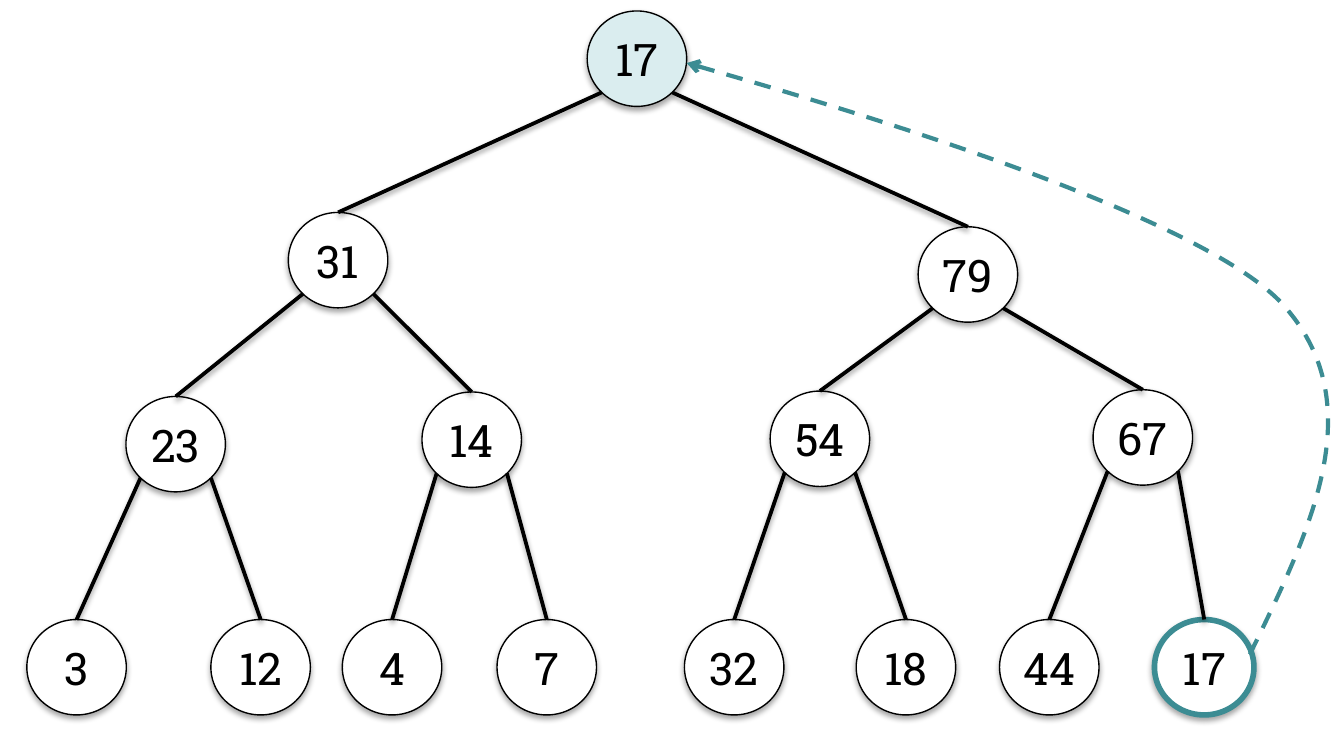
"""Build a slide of a binary heap whose last leaf moves up to the root."""
from math import sqrt

from lxml import etree
from pptx import Presentation
from pptx.dml.color import RGBColor
from pptx.enum.dml import MSO_LINE
from pptx.enum.shapes import MSO_CONNECTOR, MSO_SHAPE
from pptx.enum.text import MSO_ANCHOR, PP_ALIGN
from pptx.oxml.ns import qn
from pptx.util import Pt

OVAL, STRAIGHT = MSO_SHAPE.OVAL, MSO_CONNECTOR.STRAIGHT
DASH, MIDDLE, CENTER = MSO_LINE.DASH, MSO_ANCHOR.MIDDLE, PP_ALIGN.CENTER
BLACK, WHITE, TEAL, PALE = "000000", "FFFFFF", "3C8C93", "DAEDEF"
NODE_W, NODE_H = 53.3, 51.1
LEAF_TOP = 331.9


def color(value):
    return RGBColor.from_string(value)


def add_shadow(s, alpha, dist):
    effects = etree.SubElement(s._element.spPr, qn("a:effectLst"))
    shadow = etree.SubElement(effects, qn("a:outerShdw"), blurRad=str(Pt(3.1)),
                              dist=str(Pt(dist)), dir="5400000", rotWithShape="0")
    clr = etree.SubElement(shadow, qn("a:srgbClr"), val=BLACK)
    etree.SubElement(clr, qn("a:alpha"), val=str(alpha * 1000))


prs = Presentation()
prs.slide_width, prs.slide_height = Pt(720), Pt(405)
slide = prs.slides.add_slide(prs.slide_layouts[6])
shapes = slide.shapes

heap = [
    (17, 314.6, 5.9),
    (31, 154.5, 113.8), (79, 491.9, 121.5),
    (23, 67.5, 212.4), (14, 226.1, 210), (54, 412.6, 209.5), (67, 585.6, 208.8),
]
leaves = [(3, 14.4), (12, 113), (4, 183.4), (7, 266.3),
          (32, 366.7), (18, 458.7), (44, 535.5), (17, 618.5)]
heap += [(value, left, LEAF_TOP) for value, left in leaves]
last = len(heap) - 1

for i, (value, left, top) in enumerate(heap):
    s = shapes.add_shape(OVAL, Pt(left), Pt(top), Pt(NODE_W), Pt(NODE_H))
    s.fill.solid()
    s.fill.fore_color.rgb = color(PALE if i == 0 else WHITE)
    s.line.color.rgb = color(TEAL if i == last else BLACK)
    s.line.width = Pt(3 if i == last else 0.75)
    add_shadow(s, 35, 1.8)
    tf = s.text_frame
    tf.word_wrap = False
    tf.vertical_anchor = MIDDLE
    tf.margin_left = tf.margin_right = Pt(2.9)
    tf.margin_top = tf.margin_bottom = Pt(3.6)
    p = tf.paragraphs[0]
    p.text = str(value)
    p.alignment = CENTER
    p.font.name = "Roboto Slab"
    p.font.size = Pt(24)
    p.font.color.rgb = color(BLACK)

for child in range(1, len(heap)):
    _, parent_left, parent_top = heap[(child - 1) // 2]
    _, left, top = heap[child]
    side = -1 if child % 2 else 1
    x = parent_left + NODE_W / 2 * (1 + side / sqrt(2))
    y = parent_top + NODE_H / 2 * (1 + 1 / sqrt(2))
    edge = shapes.add_connector(STRAIGHT, Pt(x), Pt(y), Pt(left + NODE_W / 2), Pt(top))
    edge.line.color.rgb = color(BLACK)
    edge.line.width = Pt(2)
    add_shadow(edge, 38, 1.6)

curve = [(669.6, 350.6), (702.7, 283), (735.8, 215.3), (686.2, 162),
         (635.8, 109.4), (367.9, 33.8), (367.9, 33.8)]
points = [(Pt(x), Pt(y)) for x, y in curve]
builder = shapes.build_freeform(*points[0])
builder.add_line_segments(points[1:], close=False)
arrow = builder.convert_to_shape()
outline = arrow._element.find(".//" + qn("a:path"))
segments = outline.findall(qn("a:lnTo"))
for start in range(0, len(segments), 3):
    bezier = etree.SubElement(outline, qn("a:cubicBezTo"))
    for segment in segments[start:start + 3]:
        bezier.append(segment[0])
        outline.remove(segment)
arrow.width = Pt(343.4)
outline.set("w", str(arrow.width))
arrow.fill.background()
arrow.line.color.rgb = color(TEAL)
arrow.line.width = Pt(2.25)
arrow.line.dash_style = DASH
etree.SubElement(arrow._element.spPr.find(qn("a:ln")), qn("a:tailEnd"), type="arrow")
arrow.shadow.inherit = False

prs.save("out.pptx")
